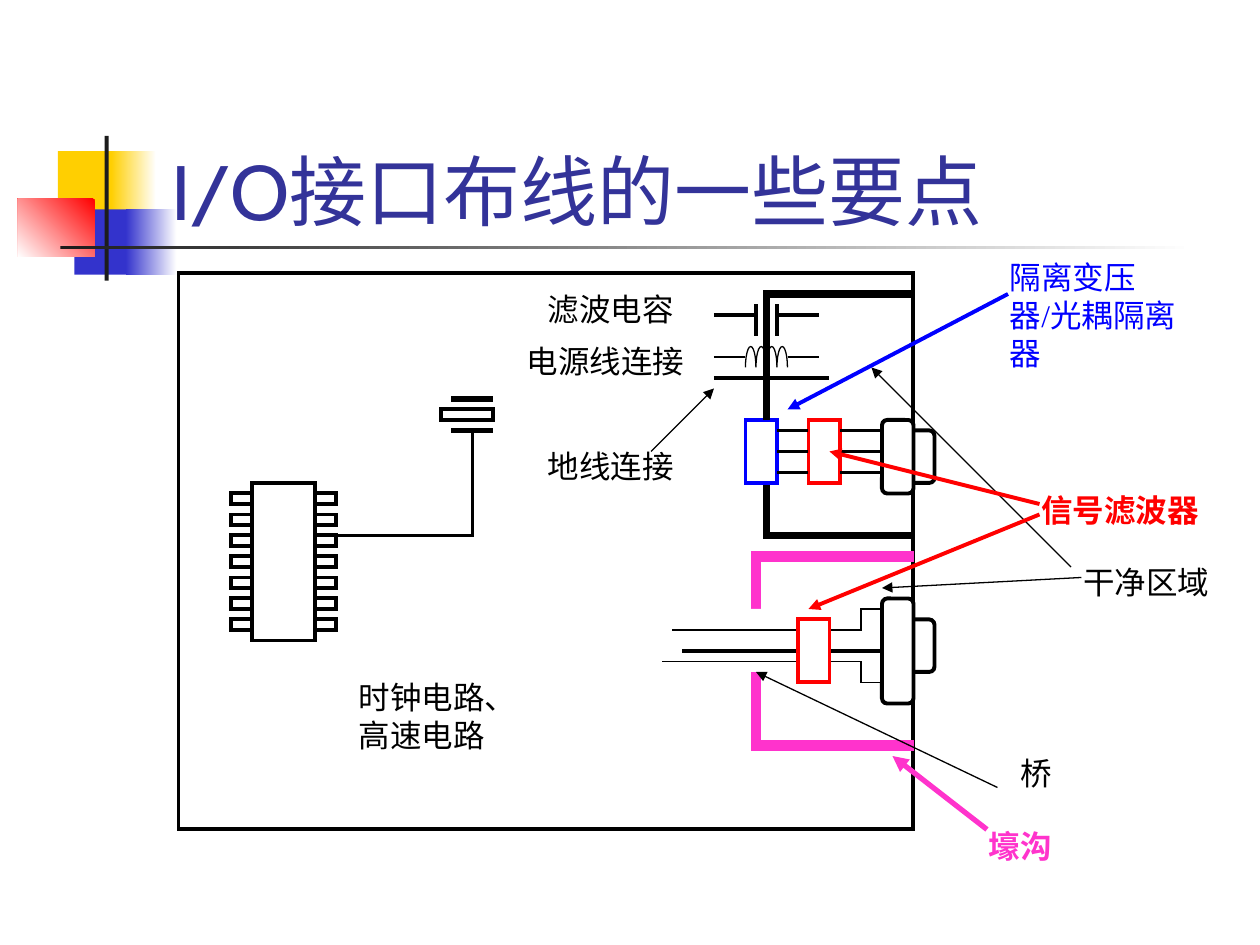
from lxml.etree import SubElement
from pptx import Presentation
from pptx.dml.color import RGBColor
from pptx.enum.shapes import MSO_CONNECTOR, MSO_SHAPE
from pptx.enum.text import MSO_ANCHOR
from pptx.oxml.ns import qn
from pptx.util import Cm, Pt

COLORS = {
    "black": "000000", "white": "FFFFFF", "blue": "0000FF", "red": "FF0000",
    "pink": "FF33CC", "title": "333399", "gold": "FFCF01", "navy": "3333CC",
    "dark": "1C1C1C",
}
GRID = 2.54 / 12
RECT, ROUND, OVAL = MSO_SHAPE.RECTANGLE, MSO_SHAPE.ROUNDED_RECTANGLE, MSO_SHAPE.OVAL

# left, top, width, height in centimetres; fill; gradient angle
ORNAMENTS = [
    ((1.17, 3.05, 1.22, 1.32), "gold", None),
    ((2.24, 3.05, 0.91, 1.32), "gold", 0),
    ((1.5, 4.22, 1.17, 1.32), "navy", None),
    ((2.54, 4.22, 1.02, 1.32), "navy", 0),
    ((0.36, 4.01, 1.55, 1.17), "red", 225),
    ((2.11, 2.74, 0.08, 2.92), "dark", None),
    ((1.22, 4.95, 22.86, 0.08), "dark", 0),
]
TITLE = "I/O接口布线的一些要点"

# All remaining positions count grid steps
BOARD_PARTS = [(17, 26, 70, 53), (24, 46, 6, 15), (42, 39, 5, 1)]
PIN_COLUMNS, PIN_TOP, PIN_COUNT = (30, 22), 47, 7
ZONE_PATHS = [
    ([(43, 38), (47, 38)], "black", 3),
    ([(43, 41), (47, 41)], "black", 3),
    ([(45, 41), (45, 51), (31, 51)], "black", 2.25),
    ([(87, 28), (73, 28), (73, 51), (87, 51)], "black", 4.5),
    ([(87, 53), (72, 53), (72, 71), (87, 71)], "pink", 6),
]
SOLID_PARTS = [
    (ROUND, (86, 41, 3, 5), "black", 2.25),
    (ROUND, (84, 40, 3, 7), "black", 2.25),
    (RECT, (71, 40, 3, 6), "blue", 2.25),
    (RECT, (77, 40, 3, 6), "red", 2.25),
    *[(OVAL, (x, 33, 1, 4), "black", 0.75) for x in (71, 73, 72, 74)],
    (RECT, (68, 35, 8, 3), None, 0),
    (ROUND, (86, 59, 3, 5), "black", 2.25),
    (ROUND, (84, 57, 3, 10), "black", 2.25),
    (RECT, (69, 58, 6, 6), None, 0),
]
WIRES = [
    *[([(left, y), (right, y)], "black", 2.25)
      for left, right in ((74, 77), (80, 84)) for y in (41, 43, 45)],
    ([(68, 34), (71, 34)], "black", 1.5),
    ([(75, 34), (78, 34)], "black", 1.5),
    ([(68, 36), (79, 36)], "black", 2.25),
    ([(73, 33), (73, 40)], "black", 4.5),
    ([(72, 29), (72, 32)], "black", 2.25),
    ([(74, 29), (74, 32)], "black", 2.25),
    ([(68, 30), (72, 30)], "black", 2.25),
    ([(74, 30), (78, 30)], "black", 2.25),
    ([(84, 62), (65, 62)], "black", 2.25),
    ([(84, 58), (82, 58), (82, 60), (64, 60)], "black", 0.75),
    ([(84, 65), (82, 65), (82, 63), (63, 63)], "black", 0.75),
]
SIGNAL_FILTER = (76, 59, 3, 6)
ARROWS = [
    ([(102, 54), (83, 35)], "black", 0.75),
    ([(103, 55), (84, 56)], "black", 0.75),
    ([(94, 79), (85, 72)], "pink", 3),
    ([(95, 75), (72, 64)], "black", 0.75),
    ([(96, 28), (75, 39)], "blue", 2.25),
    ([(99, 49), (77, 58)], "red", 2.25),
    ([(99, 48), (79, 43)], "red", 2.25),
    ([(62, 43), (68, 37)], "black", 0.75),
]
LABELS = [
    ("干净区域", (102, 53, 16, 4.8), "black", False),
    ("滤波电容", (51, 27, 16, 4.8), "black", False),
    ("电源线连接", (49, 32, 19, 4.8), "black", False),
    ("地线连接", (51, 42, 16, 4.8), "black", False),
    ("信号滤波器", (98, 46.2, 20, 4.8), "red", True),
    ("隔离变压器/光耦隔离器", (95, 24, 21, 12), "blue", False),
    ("桥", (96, 71.2, 6, 4.8), "black", False),
    ("壕沟", (93, 78.2, 10, 4.8), "pink", True),
    ("时钟电路、高速电路", (33, 64, 16, 8.4), "black", False),
]


def color(name):
    return RGBColor.from_string(COLORS[name])


def steps(values):
    return [Cm(value * GRID) for value in values]


def style_line(line, name, weight, arrow=False):
    line.color.rgb = color(name)
    line.width = Pt(weight)
    outline = line._get_or_add_ln()
    SubElement(outline, qn("a:miter"), lim="800000")
    if arrow:
        SubElement(outline, qn("a:tailEnd"), type="triangle")


def add_part(page, kind, frame, fill=None, line=None, weight=0, angle=None):
    part = page.shapes.add_shape(kind, *frame)
    part.shadow.inherit = False
    if angle is not None:
        part.fill.gradient()
        part.fill.gradient_angle = angle
        for stop, name in zip(part.fill.gradient_stops, (fill, "white")):
            stop.color.rgb = color(name)
    elif fill:
        part.fill.solid()
        part.fill.fore_color.rgb = color(fill)
    else:
        part.fill.background()
    if line:
        style_line(part.line, line, weight)
    else:
        part.line.fill.background()


def add_path(page, points, name, weight, arrow=False):
    if len(points) == 2:
        ends = steps(points[0] + points[1])
        path = page.shapes.add_connector(MSO_CONNECTOR.STRAIGHT, *ends)
        SubElement(path._element.spPr, qn("a:effectLst"))
    else:
        builder = page.shapes.build_freeform(*points[0], scale=Cm(GRID))
        builder.add_line_segments(points[1:], close=False)
        path = builder.convert_to_shape()
        path.fill.background()
        path.shadow.inherit = False
    style_line(path.line, name, weight, arrow)


def add_text(page, text, frame, *, size, font, name, bold=False,
             anchor=MSO_ANCHOR.TOP, before=0):
    box = page.shapes.add_textbox(*frame)
    box.text_frame.word_wrap = True
    box.text_frame.vertical_anchor = anchor
    para = box.text_frame.paragraphs[0]
    para.space_before = Pt(before)
    span = para.add_run()
    span.text = text
    span.font.size = Pt(size)
    span.font.name = font
    span.font.bold = bold
    span.font.color.rgb = color(name)


def main():
    deck = Presentation()
    deck.slide_width, deck.slide_height = Cm(25.4), Cm(19.05)
    page = deck.slides.add_slide(deck.slide_layouts[6])

    for frame, fill, angle in ORNAMENTS:
        add_part(page, RECT, [Cm(value) for value in frame], fill, angle=angle)
    add_text(page, TITLE, [Cm(value) for value in (3.2, 1.7, 21.64, 3.18)],
             size=44, font="Cabin", name="title", anchor=MSO_ANCHOR.BOTTOM)

    pins = [(x, PIN_TOP + 2 * row, 2, 1) for x in PIN_COLUMNS for row in range(PIN_COUNT)]
    for frame in BOARD_PARTS + pins:
        add_part(page, RECT, steps(frame), line="black", weight=2.25)
    for points, name, weight in ZONE_PATHS:
        add_path(page, points, name, weight)
    for kind, frame, line, weight in SOLID_PARTS:
        add_part(page, kind, steps(frame), "white", line, weight)
    for points, name, weight in WIRES:
        add_path(page, points, name, weight)
    add_part(page, RECT, steps(SIGNAL_FILTER), "white", "red", 2.25)
    for text, frame, name, bold in LABELS:
        add_text(page, text, steps(frame), size=18, font="Times New Roman",
                 name=name, bold=bold, before=11.2)
    for points, name, weight in ARROWS:
        add_path(page, points, name, weight, arrow=True)

    deck.save("out.pptx")


if __name__ == "__main__":
    main()
